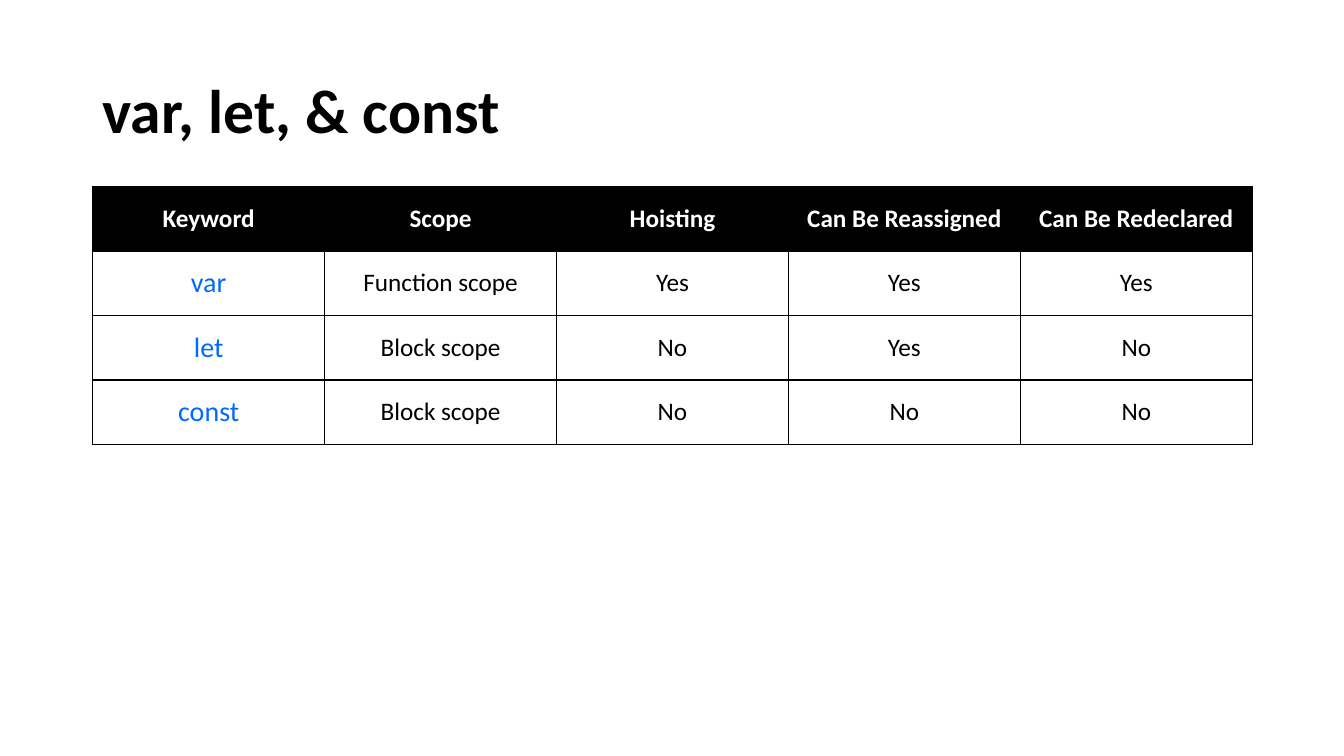
"""Build a slide comparing the var, let and const keywords."""
from lxml.etree import SubElement
from pptx import Presentation
from pptx.dml.color import RGBColor
from pptx.enum.text import MSO_ANCHOR, PP_ALIGN
from pptx.oxml.ns import qn
from pptx.util import Inches, Pt

TITLE = "var, let, & const"
ROWS = [
    ("Keyword", "Scope", "Hoisting", "Can Be Reassigned", "Can Be Redeclared"),
    ("var", "Function scope", "Yes", "Yes", "Yes"),
    ("let", "Block scope", "No", "Yes", "No"),
    ("const", "Block scope", "No", "No", "No"),
]
COLORS = {"black": "000000", "white": "FFFFFF", "blue": "0069FF"}
FONT = "Calibri"
LEFT, WIDTH = 0.92, 11.5
TITLE_TOP, TITLE_HIGH = 0.4, 1.45
ROW_HIGH = 0.64


def add_run(para, text, size, color, bold=False):
    run = para.add_run()
    run.text = text
    font = run.font
    font.name, font.size, font.bold = FONT, Pt(size), bold
    font.color.rgb = RGBColor.from_string(COLORS[color])


def add_borders(cell):
    props = cell._tc.get_or_add_tcPr()
    for side in ("lnL", "lnR", "lnT", "lnB"):
        line = SubElement(props, qn(f"a:{side}"), w=str(Pt(1)))
        fill = SubElement(line, qn("a:solidFill"))
        SubElement(fill, qn("a:srgbClr"), val=COLORS["black"])


def add_title(slide):
    box = slide.shapes.add_textbox(
        Inches(LEFT), Inches(TITLE_TOP), Inches(WIDTH), Inches(TITLE_HIGH))
    frame = box.text_frame
    frame.word_wrap = True
    frame.vertical_anchor = MSO_ANCHOR.MIDDLE
    para = frame.paragraphs[0]
    para.line_spacing = 0.9
    add_run(para, TITLE, 44, "black", True)


def fill_cell(cell, text, head, key):
    add_borders(cell)
    cell.vertical_anchor = MSO_ANCHOR.MIDDLE
    para = cell.text_frame.paragraphs[0]
    para.alignment = PP_ALIGN.CENTER
    if head:
        cell.fill.solid()
        cell.fill.fore_color.rgb = RGBColor.from_string(COLORS["black"])
        add_run(para, text, 18, "white", True)
    else:
        cell.fill.background()
        add_run(para, text, 20 if key else 18, "blue" if key else "black")


def add_grid(slide):
    table = slide.shapes.add_table(
        len(ROWS), len(ROWS[0]), Inches(LEFT), Inches(TITLE_TOP + TITLE_HIGH),
        Inches(WIDTH), Inches(ROW_HIGH * len(ROWS))).table
    table.first_row = table.horz_banding = False
    for r, row in enumerate(ROWS):
        for c, text in enumerate(row):
            fill_cell(table.cell(r, c), text, r == 0, c == 0)


deck = Presentation()
deck.slide_width, deck.slide_height = Inches(13.33), Inches(7.5)
slide = deck.slides.add_slide(deck.slide_layouts[6])
add_title(slide)
add_grid(slide)
deck.save("out.pptx")
